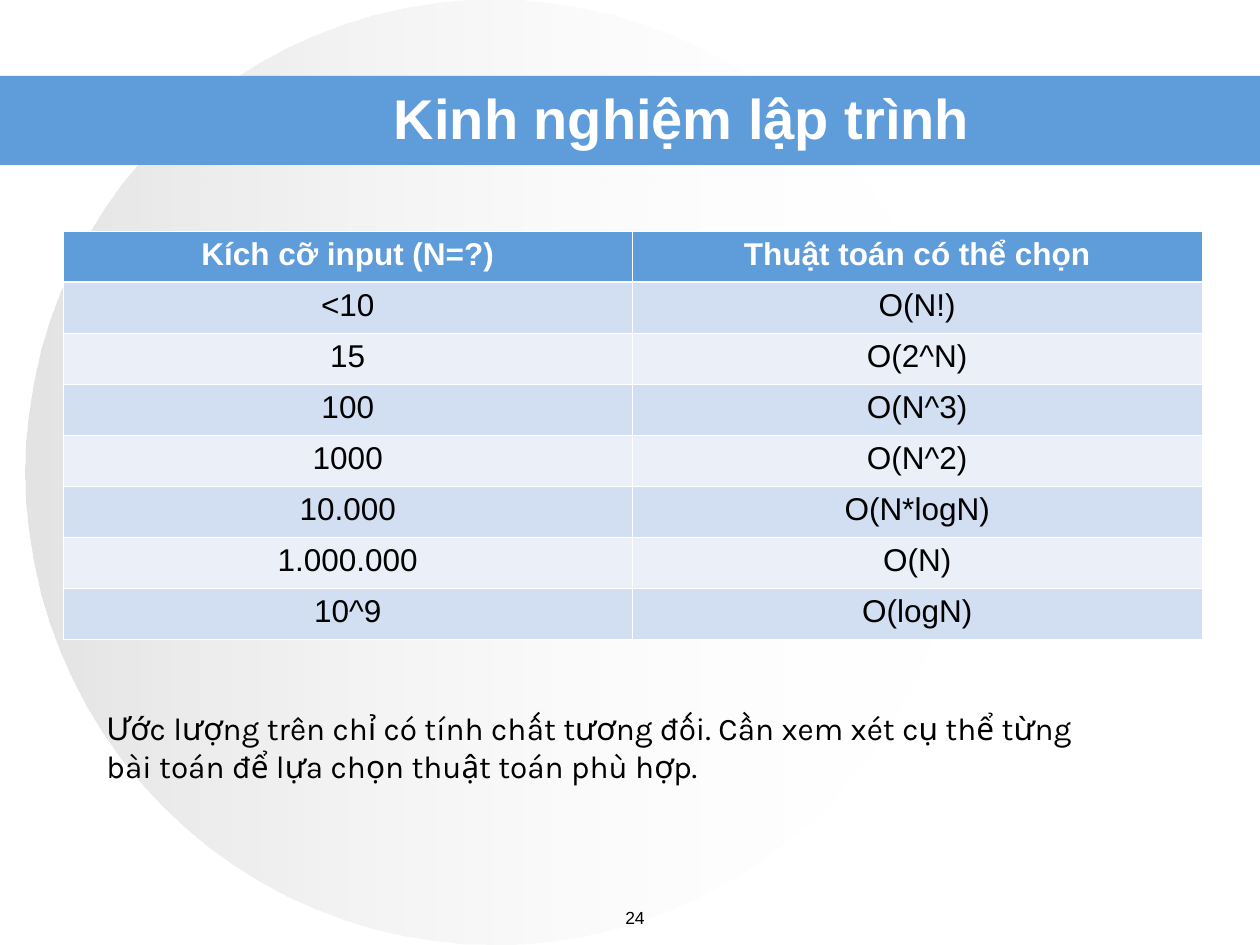
from lxml import etree
from pptx import Presentation
from pptx import util as u
from pptx.dml.color import RGBColor
from pptx.enum import shapes, text
from pptx.oxml import ns

WHITE = RGBColor(0xFF, 0xFF, 0xFF)
BLACK = RGBColor(0, 0, 0)
SILVER = RGBColor(0xC0, 0xC0, 0xC0)
BLUE = RGBColor(0x5E, 0x9C, 0xDA)
BAND_DARK = RGBColor(0xD2, 0xDE, 0xF1)
BAND_LIGHT = RGBColor(0xEA, 0xEF, 0xF8)
CENTER = text.PP_ALIGN.CENTER
EMU_PER_PX = 914400 / 126


def px(*lengths):
    return [u.Emu(round(n * EMU_PER_PX)) for n in lengths]


def write(frame, words, size, color, font="Arial", bold=False, align=CENTER):
    frame.text = words
    frame.word_wrap = True
    paragraph = frame.paragraphs[0]
    paragraph.alignment = align
    run = paragraph.runs[0]
    run.font.size = u.Pt(size)
    run.font.name = font
    run.font.bold = bold
    run.font.color.rgb = color


prs = Presentation()
prs.slide_width, prs.slide_height = px(1260, 945)
slide = prs.slides.add_slide(prs.slide_layouts[6])

disc = slide.shapes.add_shape(shapes.MSO_SHAPE.OVAL, *px(25, 0, 937, 945))
disc.shadow.inherit = False
disc.line.fill.background()
disc.fill.gradient()
disc.fill.gradient_angle = 0
for stop, color in zip(disc.fill.gradient_stops, (SILVER, WHITE)):
    stop.color.rgb = color
for color, opacity in zip(disc._element.spPr.iter(ns.qn("a:srgbClr")), (44000, 0)):
    etree.SubElement(color, ns.qn("a:alpha"), val=str(opacity))

banner = slide.shapes.add_shape(shapes.MSO_SHAPE.RECTANGLE, *px(0, 76, 1260, 89))
banner.shadow.inherit = False
banner.line.fill.background()
banner.fill.solid()
banner.fill.fore_color.rgb = BLUE

rows = [
    ("Kích cỡ input (N=?)", "Thuật toán có thể chọn"),
    ("<10", "O(N!)"),
    ("15", "O(2^N)"),
    ("100", "O(N^3)"),
    ("1000", "O(N^2)"),
    ("10.000", "O(N*logN)"),
    ("1.000.000", "O(N)"),
    ("10^9", "O(logN)"),
]
complexity = slide.shapes.add_table(len(rows), 2, *px(63, 231, 1139, 408)).table
for r, row in enumerate(rows):
    complexity.rows[r].height = px(51)[0]
    header = r == 0
    for c, words in enumerate(row):
        cell = complexity.cell(r, c)
        write(cell.text_frame, words, 18, WHITE if header else BLACK, bold=header)
        cell.fill.solid()
        cell.fill.fore_color.rgb = BLUE if header else BAND_DARK if r % 2 else BAND_LIGHT
        props = cell._tc.get_or_add_tcPr()
        for i, side in enumerate(("lnL", "lnR", "lnT", "lnB")):
            thick = (side, r) in (("lnB", 0), ("lnT", 1))
            border = etree.Element(ns.qn(f"a:{side}"), w=str(u.Pt(1.47 if thick else 0.45)))
            paint = etree.SubElement(border, ns.qn("a:solidFill"))
            etree.SubElement(paint, ns.qn("a:srgbClr"), val=str(WHITE))
            props.insert(i, border)

page_number = slide.shapes.add_textbox(*px(577, 901, 116, 36)).text_frame
write(page_number, "24", 10, BLACK)

advice = slide.shapes.add_textbox(*px(94, 703, 1040, 88)).text_frame
write(
    advice,
    "Ước lượng trên chỉ có tính chất tương đối. Cần xem xét cụ thể từng "
    "bài toán để lựa chọn thuật toán phù hợp.",
    18, BLACK, font="Karla", align=text.PP_ALIGN.LEFT,
)

title = slide.shapes.add_textbox(*px(157, 49, 1050, 136)).text_frame
write(title, "Kinh nghiệm lập trình", 32, WHITE, bold=True)
title.vertical_anchor = text.MSO_ANCHOR.MIDDLE

prs.save("out.pptx")
